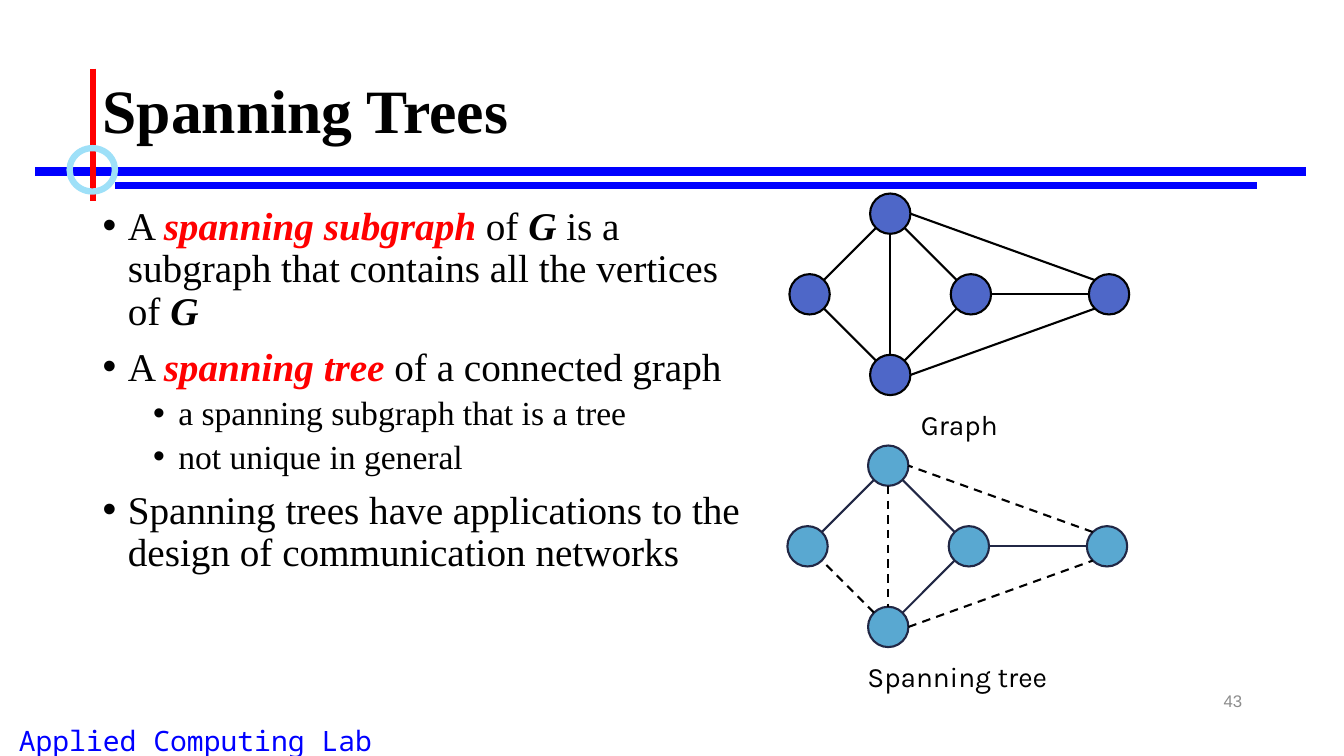
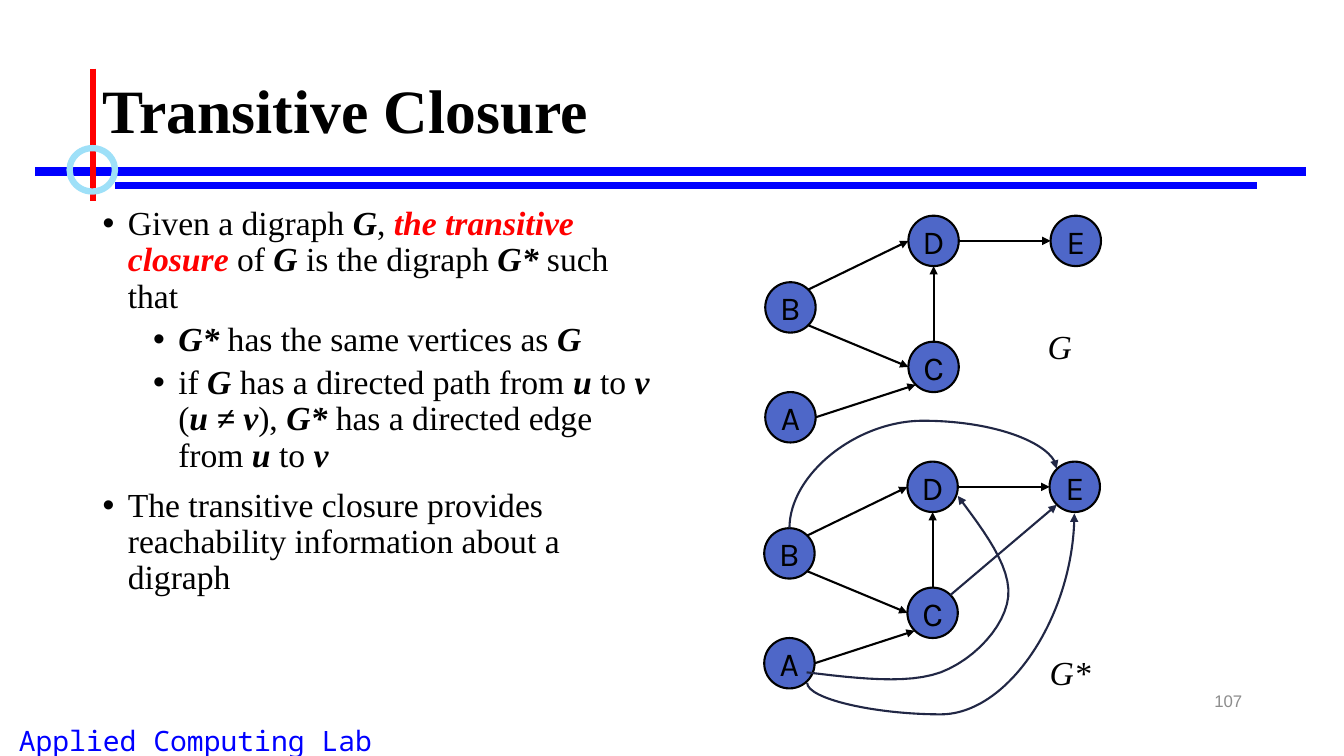
from lxml.etree import SubElement
from pptx import Presentation
from pptx.dml.color import RGBColor as RGB
from pptx.enum.dml import MSO_LINE
from pptx.enum.shapes import MSO_CONNECTOR as LINK, MSO_SHAPE as SHAPE
from pptx.enum.text import MSO_ANCHOR as ANCHOR, PP_ALIGN as ALIGN
from pptx.oxml.ns import qn
from pptx.util import Inches, Pt

COLORS = {"black": "000000", "blue": "0000FF", "red": "FF0000", "ring": "9EE0F8",
          "node": "4E67C8", "tree": "59A8D1", "navy": "212745", "gray": "8C8C8C"}
SERIF, SANS, MONO = "Times New Roman", "Karla", "Noto Sans Mono"


def style_line(sp, color, width=1.5, dash=False, arrow=False):
    sp.line.color.rgb = RGB.from_string(COLORS[color])
    sp.line.width = Pt(width)
    if dash:
        sp.line.dash_style = MSO_LINE.DASH
    props = sp._element.spPr
    if arrow:
        SubElement(props.find(qn("a:ln")), qn("a:tailEnd"), type="triangle")
    SubElement(props, qn("a:effectLst"))
    return sp


def add_run(p, text, size, font=SERIF, color="black", bold=False, italic=False):
    r = p.add_run()
    r.text = text
    r.font.size, r.font.name = Pt(size), font
    r.font.bold, r.font.italic = bold, italic
    r.font.color.rgb = RGB.from_string(COLORS[color])


# Run styles for the body text
PLAIN = {}
VAR = {"bold": True, "italic": True}
KEY = {"bold": True, "italic": True, "color": "red"}

# Each body paragraph: level, size, runs
PAGES = [
    ("Spanning Trees", "43", 6.58, [
        (0, 28, [("A ", PLAIN), ("spanning subgraph ", KEY), ("of ", PLAIN), ("G", VAR),
                 (" is a subgraph that contains all the vertices of ", PLAIN), ("G", VAR)]),
        (0, 28, [("A ", PLAIN), ("spanning tree ", KEY), ("of a connected graph", PLAIN)]),
        (1, 24, [("a spanning subgraph that is a tree", PLAIN)]),
        (1, 24, [("not unique in general", PLAIN)]),
        (0, 28, [("Spanning trees have applications to the design of "
                  "communication networks", PLAIN)]),
    ]),
    ("Transitive Closure", "107", 5.67, [
        (0, 24, [("Given a digraph ", PLAIN), ("G", VAR), (", ", PLAIN),
                 ("the transitive closure", KEY), (" of ", PLAIN), ("G", VAR),
                 (" is the digraph ", PLAIN), ("G*", VAR), (" such that", PLAIN)]),
        (1, 24, [("G*", VAR), (" has the same vertices as ", PLAIN), ("G", VAR)]),
        (1, 24, [("if ", PLAIN), ("G", VAR), (" has a directed path from ", PLAIN),
                 ("u", VAR), (" to ", PLAIN), ("v ", VAR), ("(", PLAIN), ("u ≠ v", VAR),
                 ("), ", PLAIN), ("G*", VAR), (" has a directed edge from ", PLAIN),
                 ("u", VAR), (" to ", PLAIN), ("v", VAR)]),
        (0, 24, [("The transitive closure provides reachability information "
                  "about a digraph", PLAIN)]),
    ]),
]

prs = Presentation()
prs.slide_width, prs.slide_height = Inches(13.33), Inches(7.5)

# Bands, title, body, footer and number on every slide
BANDS = [((0.35, 1.7, 12.95, 1.7), "blue", 6),
         ((1.14, 1.84, 12.47, 1.84), "blue", 4.5),
         ((0.92, 0.68, 0.92, 1.99), "red", 4.5)]
for title, number, body_width, paragraphs in PAGES:
    s = prs.slides.add_slide(prs.slide_layouts[6])
    for ends, color, width in BANDS:
        style_line(s.shapes.add_connector(LINK.STRAIGHT, *map(Inches, ends)), color, width)
    ring = s.shapes.add_shape(SHAPE.OVAL, *map(Inches, (0.69, 1.47, 0.45, 0.43)))
    ring.fill.background()
    style_line(ring, "ring", 4.5)

    for box, text, align, anchor, look in [
        ((-0.58, 7.13, 5.04, 0.43), "Applied Computing Lab", ALIGN.CENTER, ANCHOR.TOP,
         {"size": 20, "font": MONO, "color": "blue"}),
        ((0.92, 0.4, 11.5, 1.45), title, ALIGN.LEFT, ANCHOR.MIDDLE,
         {"size": 44, "bold": True}),
        ((9.42, 6.75, 3, 0.4), number, ALIGN.RIGHT, ANCHOR.MIDDLE,
         {"size": 12, "font": "Arial", "color": "gray"}),
    ]:
        tf = s.shapes.add_textbox(*map(Inches, box)).text_frame
        tf.word_wrap, tf.vertical_anchor = True, anchor
        p = tf.paragraphs[0]
        p.alignment = align
        p.line_spacing = 0.9 if text == title else 1.0
        add_run(p, text, **look)

    tf = s.shapes.add_textbox(*map(Inches, (0.92, 2, body_width, 4.76))).text_frame
    tf.word_wrap = True
    for i, (level, size, runs) in enumerate(paragraphs):
        p = tf.add_paragraph() if i else tf.paragraphs[0]
        p.level, p.line_spacing = level, 0.9
        p.space_before = Pt(5 if level else 10)
        pPr = p._p.get_or_add_pPr()
        pPr.set("marL", str(Inches(0.25 + 0.5 * level)))
        pPr.set("indent", str(Inches(-0.25)))
        SubElement(pPr, qn("a:buFont"), typeface="Arial")
        SubElement(pPr, qn("a:buChar"), char="•")
        for text, look in runs:
            add_run(p, text, size, **look)

# Node centres, and edges as (node, side, node, side)
GRAPH = {"W": (8.03, 2.92), "N": (8.83, 2.12), "S": (8.83, 3.72),
         "M": (9.63, 2.92), "E": (11, 2.92)}
TREE = [("N", "SW", "W", "NE"), ("S", "NE", "M", "SW"),
        ("N", "SE", "M", "NW"), ("M", "E", "E", "W")]
REST = [("S", "NW", "W", "SE"), ("N", "S", "S", "N"),
        ("S", "E", "E", "SW"), ("E", "NW", "N", "E")]
DIGRAPH = {"B": (7.84, 3.05), "A": (7.84, 4.14), "D": (9.26, 2.39),
           "C": (9.26, 3.64), "E": (10.67, 2.39)}
ARCS = [("B", "NE", "D", "W"), ("B", "SE", "C", "W"), ("D", "E", "E", "W"),
        ("C", "N", "D", "S"), ("A", "E", "C", "SW")]
CLOSING = [("C", "NE", "E", "SW")]
DIAG = 0.71
SIDES = {"N": (0, -1), "S": (0, 1), "W": (-1, 0), "E": (1, 0),
         "NW": (-DIAG, -DIAG), "NE": (DIAG, -DIAG),
         "SW": (-DIAG, DIAG), "SE": (DIAG, DIAG)}

# Each diagram: slide, nodes, shift, radius, fill, outline, labelled, edge groups
trees, closure = prs.slides
SOLID, ARROW = {"color": "black"}, {"color": "black", "arrow": True}
DIAGRAMS = [
    (trees, GRAPH, (0, 0), 0.2, "node", "black", False, [(TREE + REST, SOLID)]),
    (trees, GRAPH, (-0.02, 2.5), 0.2, "tree", "navy", False,
     [(TREE, {"color": "navy"}), (REST, {"color": "black", "dash": True})]),
    (closure, DIGRAPH, (0, 0), 0.25, "node", "black", True, [(ARCS, ARROW)]),
    (closure, DIGRAPH, (-0.01, 2.44), 0.25, "node", "black", True,
     [(ARCS, ARROW), (CLOSING, {"color": "navy", "arrow": True})]),
]
for s, nodes, (dx, dy), radius, fill, outline, labelled, groups in DIAGRAMS:
    for name, (x, y) in nodes.items():
        sp = s.shapes.add_shape(SHAPE.OVAL, Inches(x + dx - radius), Inches(y + dy - radius),
                                Inches(2 * radius), Inches(2 * radius))
        sp.fill.solid()
        sp.fill.fore_color.rgb = RGB.from_string(COLORS[fill])
        style_line(sp, outline)
        if labelled:
            tf = sp.text_frame
            tf.word_wrap, tf.vertical_anchor = False, ANCHOR.MIDDLE
            tf.paragraphs[0].alignment = ALIGN.CENTER
            add_run(tf.paragraphs[0], name, 24, SANS)
    for edges, look in groups:
        for a, a_side, b, b_side in edges:
            ends = []
            for node, side in ((a, a_side), (b, b_side)):
                (x, y), (ux, uy) = nodes[node], SIDES[side]
                ends += [Inches(x + dx + radius * ux), Inches(y + dy + radius * uy)]
            style_line(s.shapes.add_connector(LINK.STRAIGHT, *ends), **look)

# Curved arrows B to E and A to E: unrotated ends, rotation, bend
for ends, angle, bend in [((8.86, 3.62, 9.45, 6.27), 270, 1.807),
                          ((10.17, 7.26, 8.49, 4.61), 90, -0.186)]:
    sp = closure.shapes.add_connector(LINK.CURVE, *map(Inches, ends))
    style_line(sp, "navy", arrow=True)
    props = sp._element.spPr
    props.find(qn("a:xfrm")).set("rot", str(angle * 60000))
    guides = props.find(qn("a:prstGeom")).find(qn("a:avLst"))
    SubElement(guides, qn("a:gd"), name="adj1", fmla=f"val {round(bend * 100000)}")

# Curved arrow A to D, as three Bézier pieces
start = (8, 6.67)
points = []
p0 = start
for p1, p2, p3 in [((8.5, 6.73), (9, 6.79), (9.33, 6.67)),
                   ((9.67, 6.54), (9.97, 6.21), (10, 5.92)),
                   ((10.03, 5.62), (9.76, 5.27), (9.5, 4.92))]:
    for t in [step / 12 for step in range(1, 13)]:
        weights = ((1 - t) ** 3, 3 * t * (1 - t) ** 2, 3 * t * t * (1 - t), t ** 3)
        points.append([Inches(sum(w * q[axis] for w, q in zip(weights, (p0, p1, p2, p3))))
                       for axis in (0, 1)])
    p0 = p3
builder = closure.shapes.build_freeform(*map(Inches, start))
builder.add_line_segments(points, close=False)
sp = builder.convert_to_shape()
sp.fill.background()
style_line(sp, "navy", arrow=True)

# Diagram captions
for s, box, text, look in [
    (trees, (7.95, 3.99, 3.13, 0.43), "Graph", {"size": 20, "font": SANS}),
    (trees, (7.5, 6.49, 3.99, 0.43), "Spanning tree", {"size": 20, "font": SANS}),
    (closure, (10.29, 3.18, 0.44, 0.5), "G", {"size": 24, "italic": True}),
    (closure, (10.31, 6.42, 0.61, 0.5), "G*", {"size": 24, "italic": True}),
]:
    tf = s.shapes.add_textbox(*map(Inches, box)).text_frame
    tf.word_wrap = s is trees
    tf.paragraphs[0].alignment = ALIGN.CENTER
    add_run(tf.paragraphs[0], text, **look)

prs.save("out.pptx")
